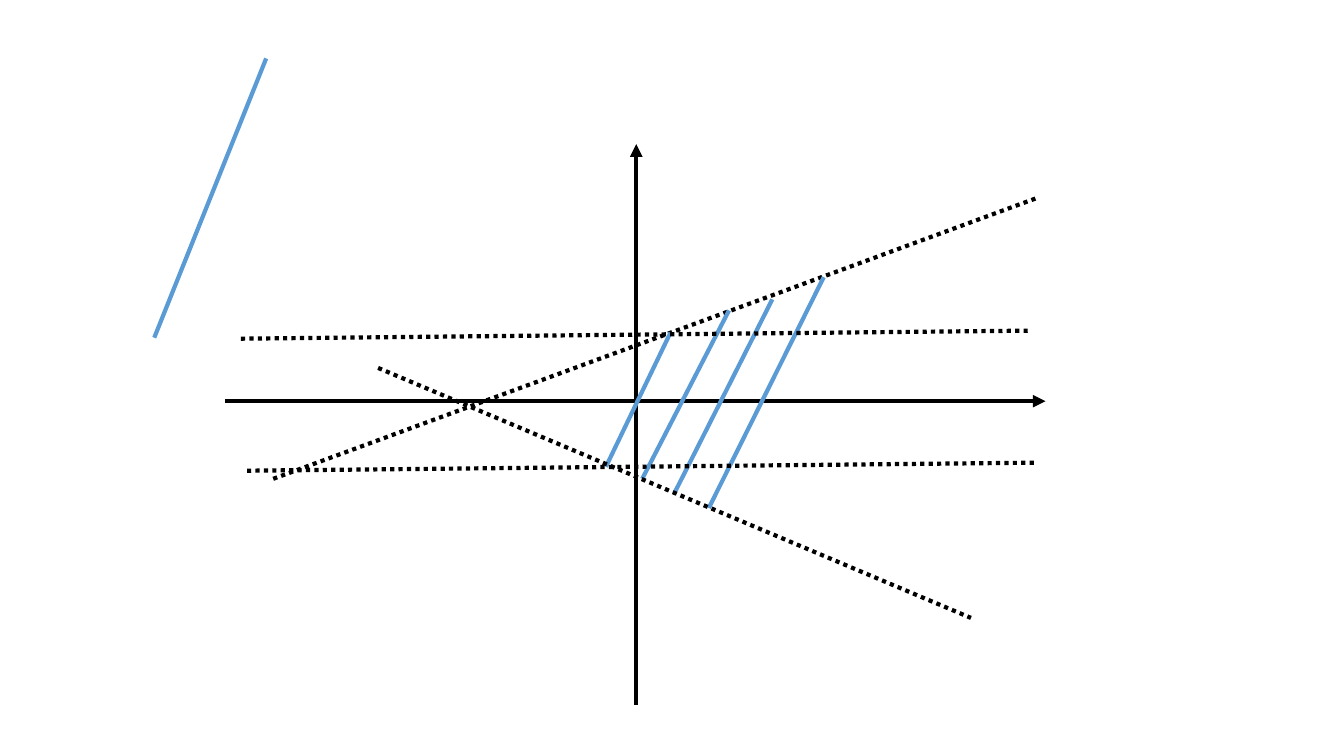
from pptx import Presentation
from pptx.dml.color import RGBColor
from pptx.enum.dml import MSO_LINE
from pptx.enum.shapes import MSO_CONNECTOR
from pptx.oxml.ns import qn
from pptx.util import Inches, Pt
from lxml import etree

STRAIGHT = MSO_CONNECTOR.STRAIGHT
DOT = MSO_LINE.ROUND_DOT
CELL = 0.1  # inches per grid column and row


class Theme:
    ink = RGBColor.from_string("000000")
    blue = RGBColor.from_string("5B9BD5")
    width = Pt(3)


SOLID = {"width": Theme.width}
DOTTED = {"width": Theme.width, "dash_style": DOT}

# Line ends as column, row, column, row
AXES = [(22.3, 39.8, 103.7, 39.8), (63.1, 69.9, 63.1, 14.3)]
RISE = (27.1, 47.5, 102.7, 19.7)
FALL = (37.5, 36.5, 96.3, 61.3)
LEVEL = (23.9, 33.6, 102.3, 32.8)
SHIFT = (0.6, 13.1)
HATCH = [
    (66.5, 33, 60.1, 46.3),
    (72.3, 30.8, 63.7, 47.5),
    (76.6, 29.7, 66.9, 48.9),
    (81.7, 27.5, 70.3, 50.4),
]
STROKE = (26.4, 5.8, 15.3, 33.5)


def draw(slide, ends, color, form):
    """Add a straight line between two grid points."""
    line = slide.shapes.add_connector(STRAIGHT, *(Inches(e * CELL) for e in ends))
    line.line.color.rgb = color
    for name, value in form.items():
        setattr(line.line, name, value)
    etree.SubElement(line._element.spPr, qn("a:effectLst"))
    return line


def axis(slide, ends):
    """Add a solid line with an arrowhead at its end."""
    line = draw(slide, ends, Theme.ink, SOLID)
    etree.SubElement(line.line._get_or_add_ln(), qn("a:tailEnd"), type="triangle")


def main():
    deck = Presentation()
    deck.slide_width, deck.slide_height = Inches(13.33), Inches(7.5)
    slide = deck.slides.add_slide(deck.slide_layouts[6])

    # Axes and the rising bound
    across, up = AXES
    axis(slide, across)
    draw(slide, RISE, Theme.ink, DOTTED)
    axis(slide, up)

    # Hatching and the loose stroke
    for ends in HATCH + [STROKE]:
        draw(slide, ends, Theme.blue, SOLID)

    # Level bounds, the second one shifted down, and the falling bound
    lower = [e + s for e, s in zip(LEVEL, SHIFT * 2)]
    for ends in (LEVEL, FALL, lower):
        draw(slide, ends, Theme.ink, DOTTED)

    deck.save("out.pptx")


if __name__ == "__main__":
    main()
